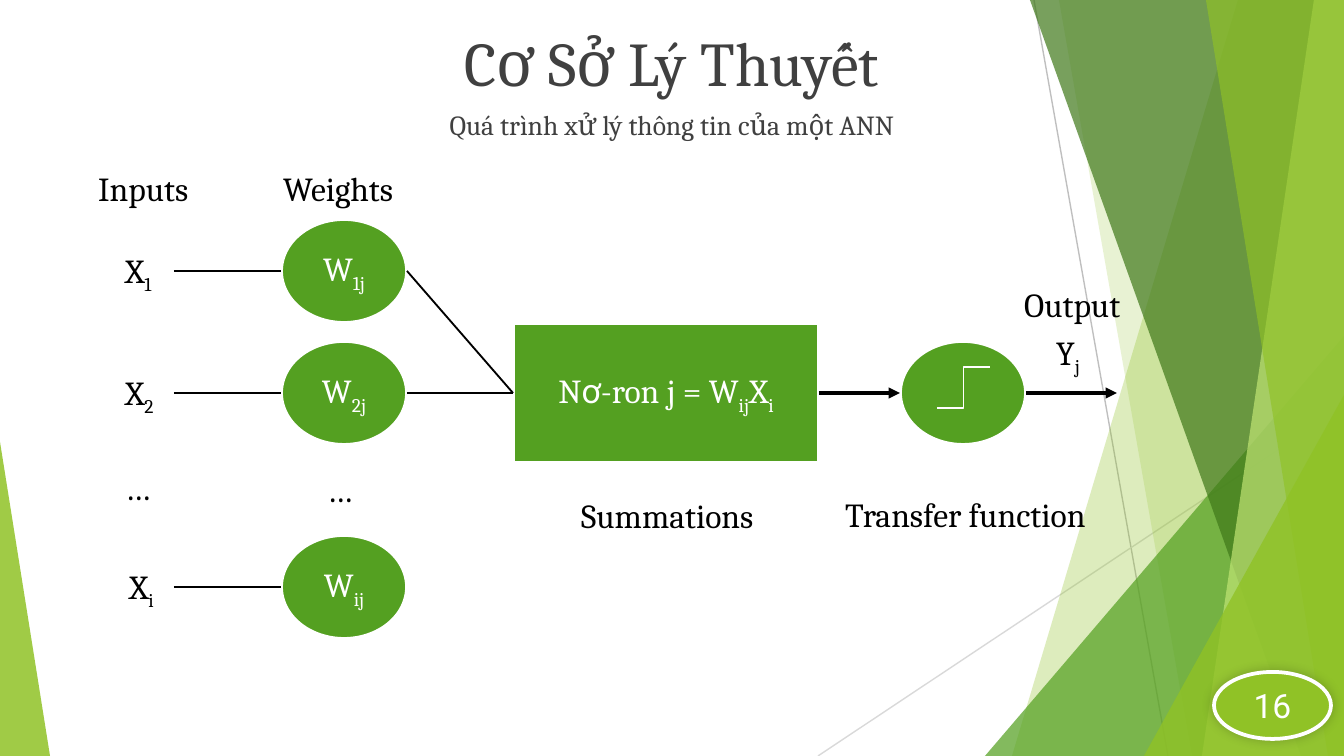
from lxml.etree import SubElement
from pptx import Presentation
from pptx.dml.color import RGBColor
from pptx.enum.shapes import MSO_CONNECTOR, MSO_SHAPE
from pptx.enum.text import MSO_ANCHOR, MSO_AUTO_SIZE, PP_ALIGN
from pptx.oxml.ns import qn
from pptx.util import Emu, Pt

PX = 914400 / 134.4
WIDTH, HEIGHT = 1344, 756
COLORS = {
    "lime": "90C226", "green": "54A021", "forest": "3F7819", "pale": "C0E474",
    "white": "FFFFFF", "black": "000000", "title": "404040",
    "rule": "BFBFBF", "soft_rule": "D9D9D9",
}


def px(*lengths):
    """Turn pixel lengths into EMU."""
    return [Emu(round(length * PX)) for length in lengths]


def rgb(name):
    """Look up a named colour."""
    return RGBColor.from_string(COLORS[name])


def sub(text):
    """Describe a subscript run."""
    return text, "Cambria", -25000


def paint(shape, color, alpha=100, line=None):
    """Fill a shape, set its opacity and outline, and drop its shadow."""
    shape.shadow.inherit = False
    shape.fill.solid()
    shape.fill.fore_color.rgb = rgb(color)
    if alpha < 100:
        fill = shape._element.spPr.find(qn("a:solidFill"))
        SubElement(fill[0], qn("a:alpha"), val=str(alpha * 1000))
    if line:
        shape.line.color.rgb = rgb(line)
        shape.line.width = Pt(2)
    else:
        shape.line.fill.background()


def write(shape, runs, color, size=18, centred=True):
    """Write one paragraph of plain strings and (text, font, baseline) runs."""
    paragraph = shape.text_frame.paragraphs[0]
    paragraph.alignment = PP_ALIGN.CENTER if centred else PP_ALIGN.LEFT
    for part in runs:
        text, face, baseline = (part, "Cambria", 0) if isinstance(part, str) else part
        run = paragraph.add_run()
        run.text = text
        run.font.color.rgb = rgb(color)
        for name, value in {"name": face, "size": Pt(size)}.items():
            setattr(run.font, name, value)
        if baseline:
            run.font._element.set("baseline", str(baseline))


def add_facet(slide, points, color, alpha):
    """Draw a translucent polygon."""
    builder = slide.shapes.build_freeform(*points[0], scale=PX)
    builder.add_line_segments(points[1:], close=True)
    paint(builder.convert_to_shape(), color, alpha)


def add_triangle(slide, box, apex, color, alpha):
    """Draw a translucent triangle with its apex at a share of the width."""
    triangle = slide.shapes.add_shape(MSO_SHAPE.ISOSCELES_TRIANGLE, *px(*box))
    triangle.adjustments[0] = apex
    paint(triangle, color, alpha)


def add_node(slide, kind, box, runs=(), color="green", size=18):
    """Draw a white-edged node with centred text."""
    node = slide.shapes.add_shape(kind, *px(*box))
    paint(node, color, line="white")
    node.text_frame.vertical_anchor = MSO_ANCHOR.MIDDLE
    write(node, runs, "white", size)
    return node


def add_label(slide, box, runs):
    """Place a label that does not wrap."""
    label = slide.shapes.add_textbox(*px(*box))
    label.text_frame.word_wrap = False
    label.text_frame.auto_size = MSO_AUTO_SIZE.SHAPE_TO_FIT_TEXT
    write(label, runs, "black", centred=False)


def add_heading(slide, box, text, size):
    """Place a centred heading across the slide."""
    heading = slide.shapes.add_textbox(*px(*box))
    heading.text_frame.word_wrap = True
    heading.text_frame.vertical_anchor = MSO_ANCHOR.MIDDLE
    write(heading, [text], "title", size)


def add_link(slide, ends, color="black", width=1, arrow=False,
             kind=MSO_CONNECTOR.STRAIGHT):
    """Draw a connector without shadow, with an arrowhead if asked."""
    link = slide.shapes.add_connector(kind, *px(*ends))
    link.line.color.rgb = rgb(color)
    link.line.width = Pt(width)
    if arrow:
        SubElement(link.line._get_or_add_ln(), qn("a:tailEnd"), type="triangle")
    SubElement(link._element.spPr, qn("a:effectLst"))
    return link


def add_backdrop(slide):
    """Draw the faceted decoration."""
    add_link(slide, (1034, 0, 1168, HEIGHT), "rule", 0.75)
    add_link(slide, (WIDTH, 406, 818, HEIGHT), "soft_rule", 0.75)

    def facets(rows):
        for top, bottom, color, alpha in rows:
            points = [(top, 0), (WIDTH, 0), (WIDTH, HEIGHT), (bottom, HEIGHT)]
            add_facet(slide, points, color, alpha)

    facets([(1238, 1012, "lime", 30), (1059, 1192, "lime", 20)])
    add_triangle(slide, (985, 336, 359, 420), 1, "green", 72)
    facets([(1030, 1301, "forest", 70), (1314, 1202, "pale", 70),
            (1206, 1328, "lime", 65)])
    add_triangle(slide, (1144, 395, 200, 361), 1, "lime", 80)
    add_triangle(slide, (0, 442, 50, 314), 0, "lime", 85)


def add_network(slide):
    """Draw the inputs, weights, neuron and transfer function."""
    neuron_runs = ["N", ("ơ", "Roboto", 0), "-ron j = W", sub("ij"), "X", sub("i")]
    neuron = add_node(slide, MSO_SHAPE.RECTANGLE, (513, 323, 306, 140), neuron_runs)
    rows = [(271, 112, "1", "1j"), (393, 112, "2", "2j"), (587, 116, "i", "ij")]
    for middle, left, index, weight in rows:
        add_label(slide, (left, middle - 28, 63, 54), ["X", sub(index)])
        add_node(slide, MSO_SHAPE.OVAL, (281, middle - 52, 126, 104),
                 ["W", sub(weight)])
        add_link(slide, (174, middle, 281, middle))
    for middle, *_ in rows[:2]:
        add_link(slide, (407, middle, 513, 393)).end_connect(neuron, 1)

    add_node(slide, MSO_SHAPE.OVAL, (900, 341, 126, 104))
    add_link(slide, (937, 408, 990, 367), "white", kind=MSO_CONNECTOR.ELBOW)
    add_link(slide, (819, 393, 900, 393), width=2, arrow=True).begin_connect(neuron, 3)
    add_link(slide, (1026, 393, 1117, 393), width=2, arrow=True)

    for left, top, width, *runs in [
        (85, 161, 125, "Inputs"), (270, 161, 151, "Weights"),
        (568, 488, 218, "Summations"), (832, 487, 289, "Transfer function"),
        (1011, 277, 134, "Output"), (1043, 325, 55, "Y", sub("j")),
        (112, 460, 55, "…"), (314, 462, 55, "…"),
    ]:
        add_label(slide, (left, top, width, 54), runs)


def add_page_badge(slide):
    """Draw the slide number in a softly shadowed oval."""
    badge = add_node(slide, MSO_SHAPE.OVAL, (1214, 672, 117, 67),
                     [("16", "Roboto", 0)], "lime")
    effects = badge._element.spPr.find(qn("a:effectLst"))
    shadow = SubElement(effects, qn("a:outerShdw"), blurRad=str(Pt(6)),
                        dist="0", dir="18900000")
    tint = SubElement(shadow, qn("a:srgbClr"), val=COLORS["black"])
    SubElement(tint, qn("a:alpha"), val="20000")


def main():
    """Build and save the slide."""
    deck = Presentation()
    deck.slide_width, deck.slide_height = px(WIDTH, HEIGHT)
    slide = deck.slides.add_slide(deck.slide_layouts[6])
    add_backdrop(slide)
    add_heading(slide, (0, 19, WIDTH, 85), "Cơ Sở Lý Thuyết", 33.3)
    add_heading(slide, (0, 104, WIDTH, 42), "Quá trình xử lý thông tin của một ANN", 14.8)
    add_network(slide)
    add_page_badge(slide)
    deck.save("out.pptx")


if __name__ == "__main__":
    main()
